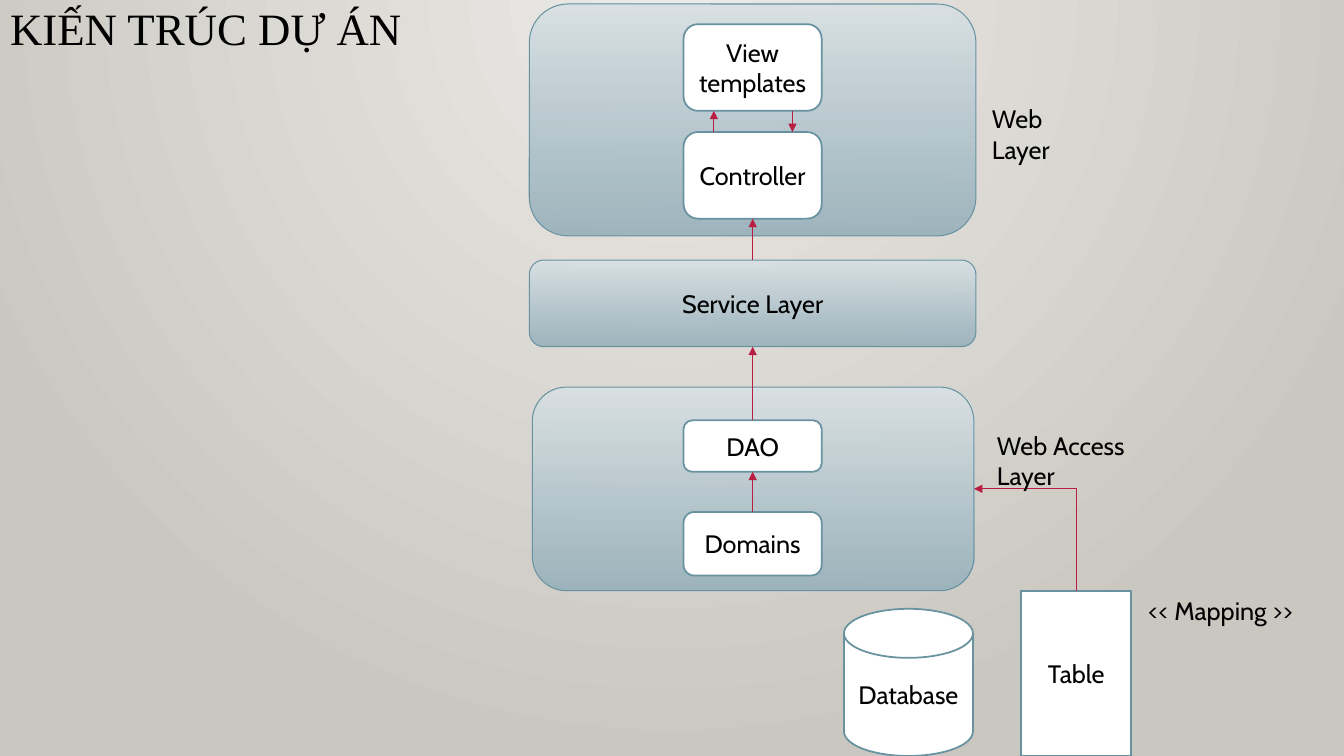
from dataclasses import dataclass

from lxml.etree import SubElement
from pptx import Presentation
from pptx.dml.color import RGBColor as Rgb
from pptx.enum.shapes import MSO_CONNECTOR as Link, MSO_SHAPE as Form
from pptx.enum.text import MSO_ANCHOR as Anchor, PP_ALIGN as Align
from pptx.oxml.ns import qn
from pptx.util import Inches, Pt

HUES = {
    "ink": "000000", "white": "FFFFFF", "edge": "6892A0", "arrow": "B71E42",
    "top": "D9E1E4", "base": "9AB2BC", "glow": "ECEAE7", "dusk": "CAC7C1",
}
CELL = 0.1
TOP, LEFT, BOTTOM, RIGHT = range(4)


@dataclass
class Box:
    name: str
    col: float
    row: float
    cols: float
    rows: float
    text: str = ""
    form: Form = Form.ROUNDED_RECTANGLE
    layer: bool = False


@dataclass
class Join:
    start: str
    out: int
    end: str
    into: int
    bent: bool = False


@dataclass
class Label:
    text: str
    col: float
    row: float
    cols: float


BOXES = [
    Box("web", 52.5, 0.4, 44.3, 23, layer=True),
    Box("access", 52.8, 38.4, 43.8, 20.2, layer=True),
    Box("service", 52.5, 25.8, 44.3, 8.6, "Service Layer", layer=True),
    Box("control", 67.8, 13.1, 13.7, 8.6, "Controller"),
    Box("view", 67.8, 2.4, 13.7, 8.6, "View templates"),
    Box("data", 83.7, 60.4, 12.8, 14.6, "Database", Form.FLOWCHART_MAGNETIC_DISK),
    Box("table", 101.3, 58.6, 10.9, 16.4, "Table", Form.RECTANGLE),
    Box("domain", 67.8, 50.8, 13.7, 6.3, "Domains"),
    Box("dao", 67.8, 41.7, 13.7, 5.1, "DAO"),
]
JOINS = [
    Join("service", TOP, "control", BOTTOM),
    Join("dao", TOP, "service", BOTTOM),
    Join("domain", TOP, "dao", BOTTOM),
    Join("table", TOP, "access", RIGHT, bent=True),
]
PAIRS = [(70.8, 13.1, 11), (78.6, 11, 13.1)]
LABELS = [
    Label("Web Layer", 97.4, 9.8, 13.1),
    Label("Web Access Layer", 97.9, 42.2, 20.6),
    Label("<< Mapping >>", 112.9, 58.6, 17.7),
]


def grid(*cells: float) -> list:
    return [Inches(n * CELL) for n in cells]


def hue(name: str) -> Rgb:
    return Rgb.from_string(HUES[name])


def write(frame, text: str, *, font="Cabin", size=18, align=Align.LEFT,
          anchor=Anchor.TOP, space=1.0) -> None:
    frame.word_wrap = True
    frame.vertical_anchor = anchor
    para = frame.paragraphs[0]
    para.alignment = align
    para.line_spacing = space
    run = para.add_run()
    run.text = text
    run.font.name = font
    run.font.size = Pt(size)
    run.font.color.rgb = hue("ink")


def blend(fill, *names: str) -> None:
    fill.gradient()
    for stop, name in zip(fill.gradient_stops, names):
        stop.color.rgb = hue(name)


def paint(slide) -> None:
    blend(slide.background.fill, "glow", "dusk")
    grad = slide._element.find(".//" + qn("a:gradFill"))
    grad.remove(grad.find(qn("a:lin")))
    ring = SubElement(grad, qn("a:path"), {"path": "circle"})
    SubElement(ring, qn("a:fillToRect"), l="43000", t="0", r="43000", b="100000")


def draw(slide, box: Box):
    shape = slide.shapes.add_shape(box.form, *grid(box.col, box.row, box.cols, box.rows))
    shape.shadow.inherit = False
    shape.line.color.rgb = hue("edge")
    shape.line.width = Pt(0.75 if box.layer else 1.25)
    if box.layer:
        blend(shape.fill, "top", "base")
        shape.fill.gradient_angle = 270
        grad = shape._element.spPr.find(qn("a:gradFill"))
        base = list(grad.iter(qn("a:srgbClr")))[-1]
        SubElement(base, qn("a:alpha"), val="92000")
    else:
        shape.fill.solid()
        shape.fill.fore_color.rgb = hue("white")
    if box.text:
        write(shape.text_frame, box.text, align=Align.CENTER, anchor=Anchor.MIDDLE)
    return shape


def arrow(slide, ends: list, bent: bool = False):
    wire = slide.shapes.add_connector(Link.ELBOW if bent else Link.STRAIGHT, *ends)
    wire.line.color.rgb = hue("arrow")
    wire.line.width = Pt(0.75)
    SubElement(wire.line._get_or_add_ln(), qn("a:tailEnd"), type="triangle")
    SubElement(wire._element.spPr, qn("a:effectLst"))
    return wire


def turn(wire) -> None:
    left, top, wide, high = wire.left, wire.top, wire.width, wire.height
    wire.left = left + (wide - high) // 2
    wire.top = top + (high - wide) // 2
    wire.width, wire.height = high, wide
    form = wire._element.spPr
    form.find(qn("a:prstGeom")).set("prst", "bentConnector2")
    frame = form.find(qn("a:xfrm"))
    frame.attrib.pop("flipH", None)
    frame.set("flipV", "1")
    frame.set("rot", "16200000")


def join(slide, item: Join, shapes: dict) -> None:
    wire = arrow(slide, grid(0, 0, 1, 1), item.bent)
    wire.begin_connect(shapes[item.start], item.out)
    wire.end_connect(shapes[item.end], item.into)
    if item.bent:
        turn(wire)


def main() -> None:
    deck = Presentation()
    deck.slide_width, deck.slide_height = Inches(13.33), Inches(7.5)
    slide = deck.slides.add_slide(deck.slide_layouts[5])
    paint(slide)

    title = slide.shapes.title
    title.left, title.top, title.width, title.height = grid(0, 0.2, 105, 11.5)
    write(title.text_frame, "KIẾN TRÚC DỰ ÁN", font="Times New Roman", size=32, space=0.9)

    shapes = {box.name: draw(slide, box) for box in BOXES}
    for item in JOINS:
        join(slide, item, shapes)
    for col, start, end in PAIRS:
        arrow(slide, grid(col, start, col, end))
    for label in LABELS:
        area = slide.shapes.add_textbox(*grid(label.col, label.row, label.cols, 4))
        write(area.text_frame, label.text)
    deck.save("out.pptx")


if __name__ == "__main__":
    main()
